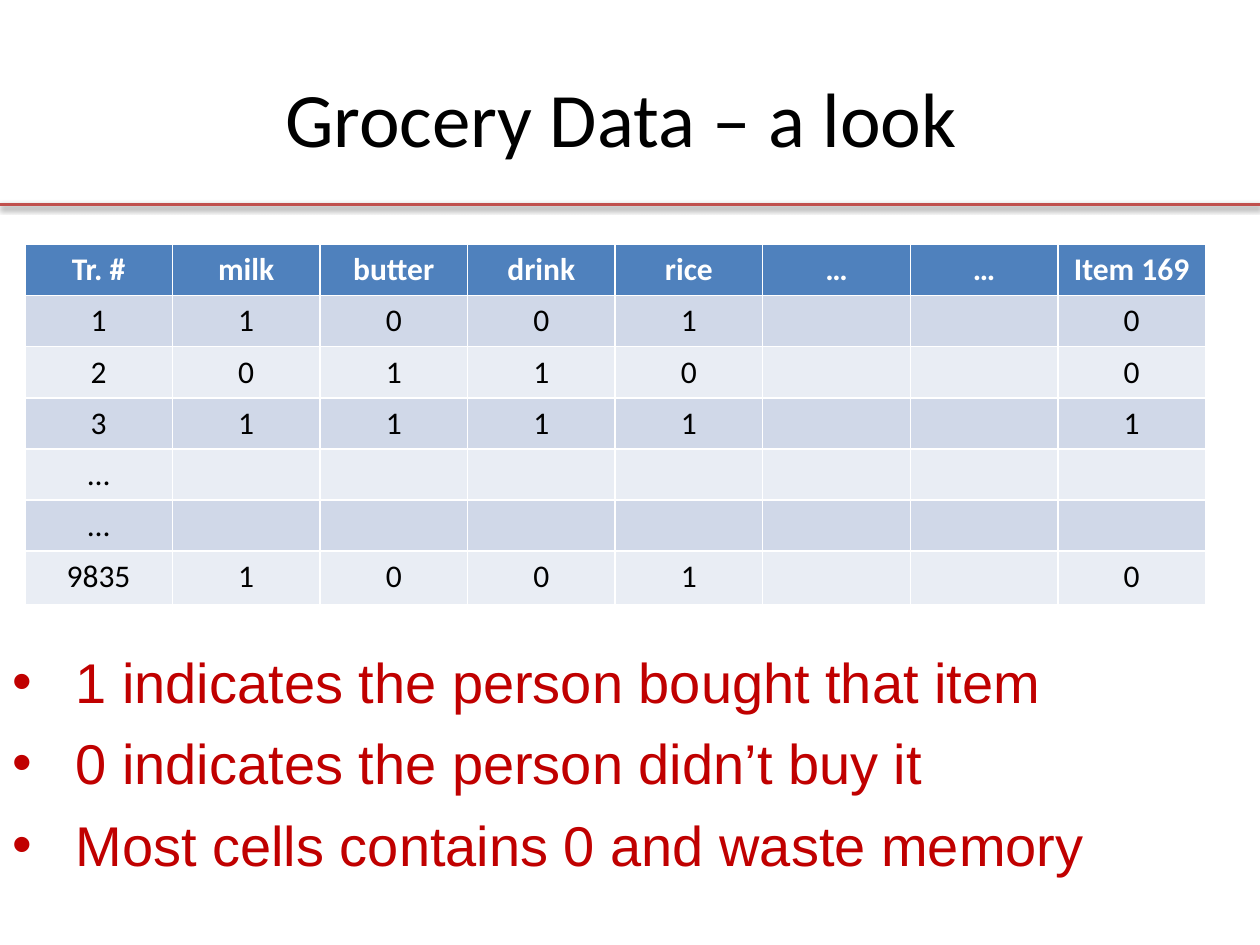
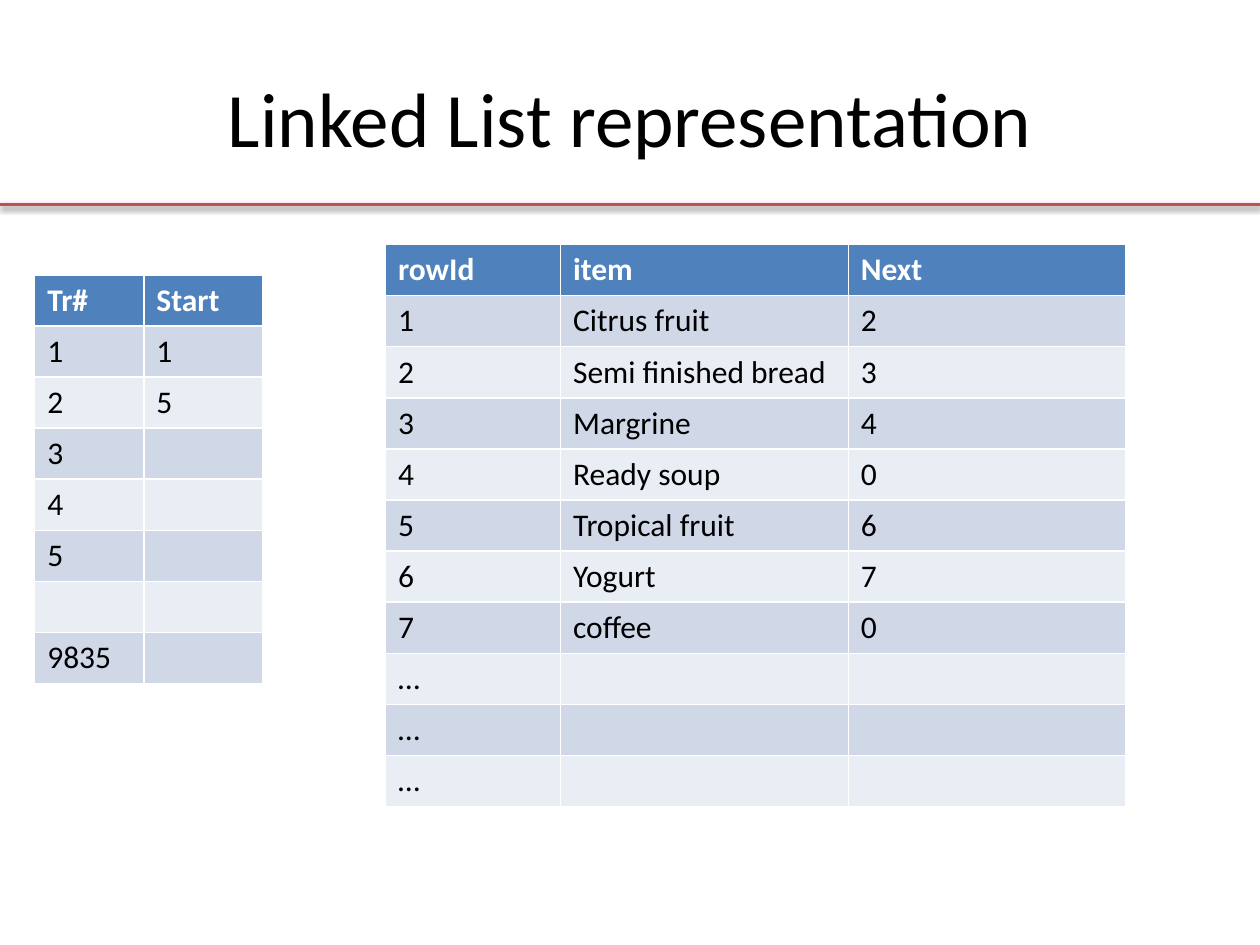
from dataclasses import dataclass

from lxml import etree
from pptx import Presentation, util as u
from pptx.dml.color import RGBColor
from pptx.enum import shapes, text
from pptx.oxml import ns


@dataclass(frozen=True)
class Theme:
    """Colours, fonts and type sizes shared by the slides."""
    ink: RGBColor = RGBColor.from_string("000000")
    paper: RGBColor = RGBColor.from_string("FFFFFF")
    rule: RGBColor = RGBColor.from_string("C0504D")
    emphasis: RGBColor = RGBColor.from_string("C00000")
    header: RGBColor = RGBColor.from_string("4F81BD")
    bands: tuple = (RGBColor.from_string("D0D8E8"), RGBColor.from_string("E9EDF4"))
    heading_font: str = "Calibri"
    list_font: str = "Arial"
    title_size: int = 44
    list_size: int = 32
    table_size: int = 18


THEME = Theme()
SLIDE_WIDTH, SLIDE_HEIGHT = u.Cm(25.4), u.Cm(19.05)
TITLE_TOP, TITLE_HEIGHT = 0.3, 4.09
RULE_TOP = u.Cm(4.12)
ROW_HEIGHT = 1.03

GROCERIES = [
    ["Tr. #", "milk", "butter", "drink", "rice", "…", "…", "Item 169"],
    ["1", "1", "0", "0", "1", "", "", "0"],
    ["2", "0", "1", "1", "0", "", "", "0"],
    ["3", "1", "1", "1", "1", "", "", "1"],
    ["…"] + [""] * 7,
    ["…"] + [""] * 7,
    ["9835", "1", "0", "0", "1", "", "", "0"],
]
GROCERY_NOTES = [
    "1 indicates the person bought that item",
    "0 indicates the person didn’t buy it",
    "Most cells contains 0 and waste memory",
]
STARTS = [
    ["Tr#", "Start"], ["1", "1"], ["2", "5"], ["3", ""],
    ["4", ""], ["5", ""], ["", ""], ["9835", ""],
]
LINKED_ITEMS = [
    ["rowId", "item", "Next"],
    ["1", "Citrus fruit", "2"],
    ["2", "Semi finished bread", "3"],
    ["3", "Margrine", "4"],
    ["4", "Ready soup", "0"],
    ["5", "Tropical fruit", "6"],
    ["6", "Yogurt", "7"],
    ["7", "coffee", "0"],
] + [["…", "", ""]] * 3


def place(shape, left, top, width, height):
    """Move and size a shape, in centimetres."""
    shape.left, shape.top = u.Cm(left), u.Cm(top)
    shape.width, shape.height = u.Cm(width), u.Cm(height)


def add_run(paragraph, words, font_name, size, color, bold=False):
    """Append one formatted run to a paragraph."""
    run = paragraph.add_run()
    run.text = words
    font = run.font
    font.name, font.size, font.bold = font_name, u.Pt(size), bold
    font.color.rgb = color


def add_rule(slide):
    """Draw the full-width line with its soft shadow under the title."""
    rule = slide.shapes.add_connector(
        shapes.MSO_CONNECTOR.STRAIGHT, 0, RULE_TOP, SLIDE_WIDTH, RULE_TOP)
    rule.line.color.rgb = THEME.rule
    rule.line.width = u.Pt(2)
    properties = rule._element.spPr
    effects = etree.SubElement(properties, ns.qn("a:effectLst"))
    shadow = etree.SubElement(effects, ns.qn("a:outerShdw"), blurRad="40000",
                              dist="20000", dir="5400000", rotWithShape="0")
    black = etree.SubElement(shadow, ns.qn("a:srgbClr"), val=str(THEME.ink))
    etree.SubElement(black, ns.qn("a:alpha"), val="38000")


def add_titled_slide(presentation, title, left, width):
    """Add a slide with its title and rule."""
    slide = presentation.slides.add_slide(presentation.slide_layouts[0])
    shape = slide.shapes.title
    place(shape, left, TITLE_TOP, width, TITLE_HEIGHT)
    frame = shape.text_frame
    frame.vertical_anchor = text.MSO_ANCHOR.MIDDLE
    frame.auto_size = text.MSO_AUTO_SIZE.NONE
    paragraph = frame.paragraphs[0]
    paragraph.alignment = text.PP_ALIGN.CENTER
    add_run(paragraph, title, THEME.heading_font, THEME.title_size, THEME.ink)
    add_rule(slide)
    return slide


def fill_list(placeholder, items):
    """Write bulleted items with a hanging indent into a placeholder."""
    frame = placeholder.text_frame
    frame.auto_size = text.MSO_AUTO_SIZE.NONE
    indent = u.Cm(1.27)
    for index, item in enumerate(items):
        paragraph = frame.add_paragraph() if index else frame.paragraphs[0]
        paragraph.alignment = text.PP_ALIGN.LEFT
        paragraph.space_before = u.Pt(8)
        properties = paragraph._p.get_or_add_pPr()
        properties.set("marL", str(indent))
        properties.set("indent", str(-indent))
        etree.SubElement(properties, ns.qn("a:buFont"), typeface=THEME.list_font)
        etree.SubElement(properties, ns.qn("a:buChar"), char="•")
        add_run(paragraph, item, THEME.list_font, THEME.list_size, THEME.emphasis)


def add_banded_table(slide, rows, left, top, widths, alignment=text.PP_ALIGN.LEFT):
    """Add a table with a bold header row and alternating bands."""
    frame = slide.shapes.add_table(
        len(rows), len(widths), u.Cm(left), u.Cm(top),
        u.Cm(sum(widths)), u.Cm(ROW_HEIGHT * len(rows)))
    table = frame.table
    for column, width in zip(table.columns, widths):
        column.width = u.Cm(width)
    for row_index, values in enumerate(rows):
        is_header = row_index == 0
        fill = THEME.header if is_header else THEME.bands[(row_index - 1) % 2]
        color = THEME.paper if is_header else THEME.ink
        table.rows[row_index].height = u.Cm(ROW_HEIGHT)
        for column_index, value in enumerate(values):
            cell = table.cell(row_index, column_index)
            cell.fill.solid()
            cell.fill.fore_color.rgb = fill
            paragraph = cell.text_frame.paragraphs[0]
            paragraph.alignment = alignment
            if value:
                add_run(paragraph, value, THEME.heading_font, THEME.table_size,
                        color, is_header)
    return table


def add_grocery_slide(presentation):
    """Show the transactions as a matrix of zeros and ones."""
    slide = add_titled_slide(presentation, "Grocery Data – a look ", 1.9, 21.6)
    table = add_banded_table(slide, GROCERIES, 0.5, 4.93, [2.975] * 8,
                             text.PP_ALIGN.CENTER)
    table.rows[len(GROCERIES) - 1].height = u.Cm(1.09)
    notes = slide.placeholders[1]
    place(notes, 0, 12.93, 25.1, 5.41)
    fill_list(notes, GROCERY_NOTES)


def add_linked_list_slide(presentation):
    """Show the same transactions as a linked list."""
    slide = add_titled_slide(presentation, "Linked List representation", 0.3, 24.8)
    subtitle = slide.placeholders[1]._element
    subtitle.getparent().remove(subtitle)
    add_banded_table(slide, STARTS, 0.7, 5.54, [2.2, 2.4])
    add_banded_table(slide, LINKED_ITEMS, 7.77, 4.93, [3.53, 5.8, 5.59])


def main():
    """Build and save the presentation."""
    presentation = Presentation()
    presentation.slide_width, presentation.slide_height = SLIDE_WIDTH, SLIDE_HEIGHT
    add_grocery_slide(presentation)
    add_linked_list_slide(presentation)
    presentation.save("out.pptx")


if __name__ == "__main__":
    main()
